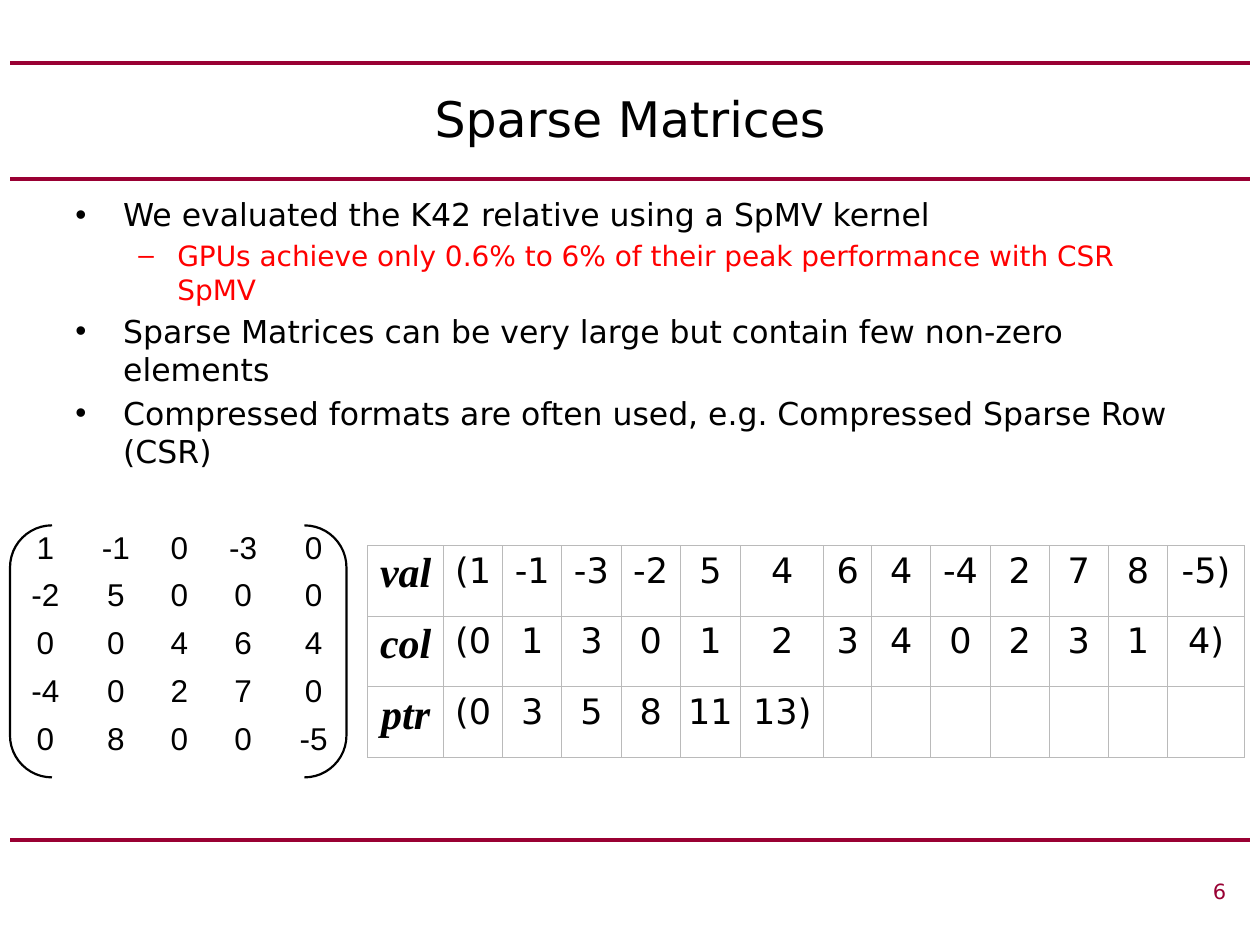
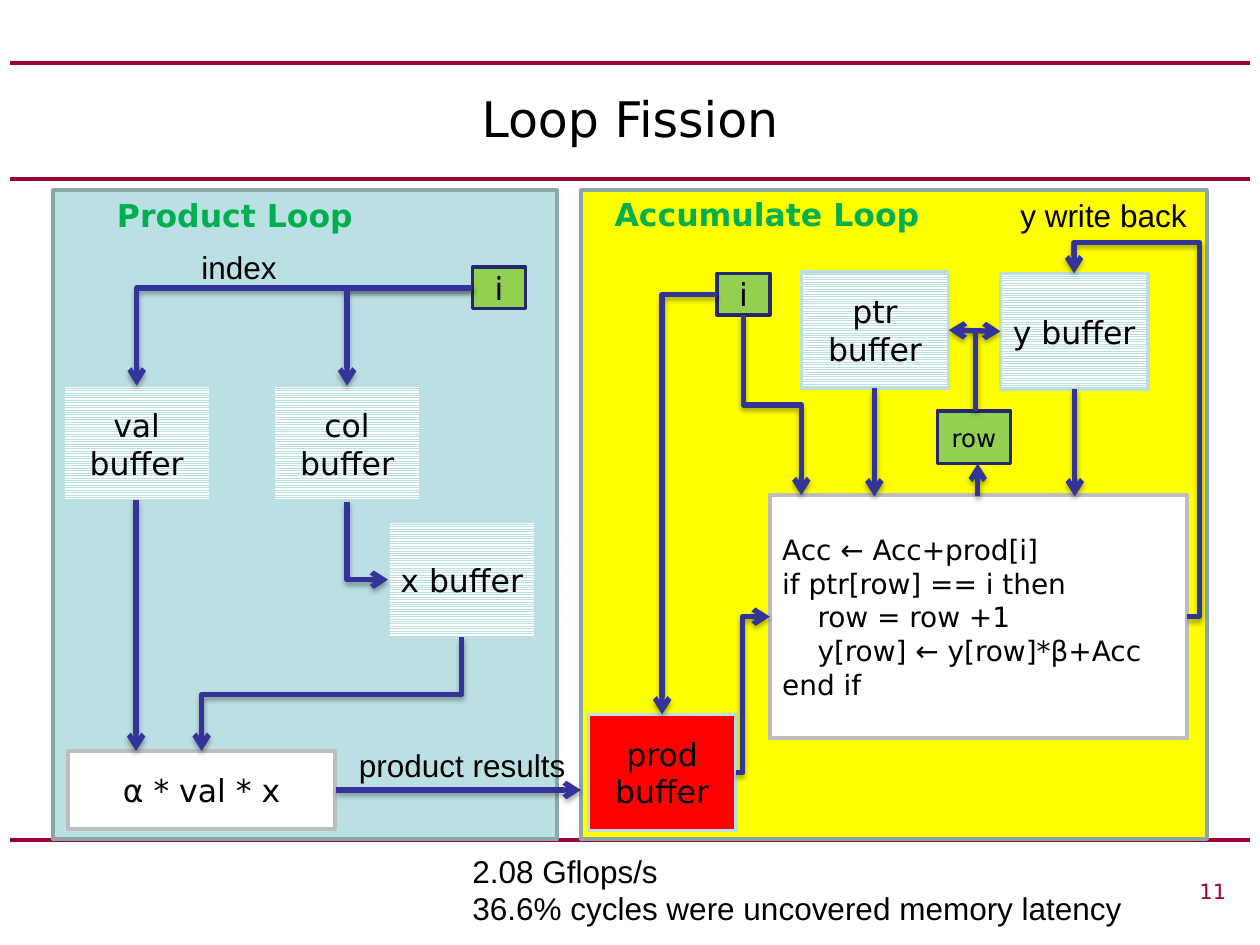
"""Build two slides on sparse matrices and loop fission."""
import lxml.etree
import pptx
import pptx.dml.color
import pptx.enum.dml
import pptx.enum.shapes
import pptx.enum.text
import pptx.oxml.ns
import pptx.util

Inches = pptx.util.Inches
Pt = pptx.util.Pt
RGBColor = pptx.dml.color.RGBColor
Kind = pptx.enum.shapes.MSO_SHAPE
Line = pptx.enum.shapes.MSO_CONNECTOR
Align = pptx.enum.text.PP_ALIGN
Anchor = pptx.enum.text.MSO_ANCHOR
qn = pptx.oxml.ns.qn

BLACK = RGBColor(0x00, 0x00, 0x00)
WHITE = RGBColor(0xFF, 0xFF, 0xFF)
WINE = RGBColor(0x99, 0x00, 0x33)
RED = RGBColor(0xFF, 0x00, 0x00)
YELLOW = RGBColor(0xFF, 0xFF, 0x00)
AQUA = RGBColor(0xBB, 0xE0, 0xE3)
SLATE = RGBColor(0x8A, 0xA6, 0xA8)
GREY = RGBColor(0xBD, 0xBD, 0xBD)
LIME = RGBColor(0x92, 0xD0, 0x50)
GREEN = RGBColor(0x00, 0xB0, 0x50)
NAVY = RGBColor(0x26, 0x26, 0x71)
BLUE = RGBColor(0x33, 0x33, 0x99)
SANS, ARIAL, SERIF = "DejaVu Sans", "Arial", "Times New Roman"
TOP, LEFT, BASE, RIGHT = range(4)


def add(node, tag, **attrs):
    child = lxml.etree.SubElement(node, qn(tag))
    for key, value in attrs.items():
        child.set(key, str(value))
    return child


class Deck:
    def __init__(self):
        self.show = pptx.Presentation()
        self.show.slide_width, self.show.slide_height = Inches(10), Inches(7.5)
        self.slide = None

    def put(self, item, **values):
        for key, value in values.items():
            setattr(item, key, value)

    def page(self, title, number):
        self.slide = self.show.slides.add_slide(self.show.slide_layouts[5])
        for y in (6.67, 1.42, 0.5):
            self.wire((0.08, y), (9.92, y), WINE, 2.25)
        head = self.slide.shapes.title
        self.put(head, left=Inches(0.5), top=Inches(0.5), width=Inches(9), height=Inches(0.87))
        head.text_frame.vertical_anchor = Anchor.MIDDLE
        self.letter(head.text_frame, [title], Align.CENTER, size=28)
        self.label(number, 2.83, 6.92, 7, 0.33, Align.RIGHT, size=12, color=WINE)

    def letter(self, frame, lines, align=Align.LEFT, size=18, name=SANS, color=BLACK, **font):
        for i, line in enumerate(lines):
            para = frame.paragraphs[0] if i == 0 else frame.add_paragraph()
            para.alignment = align
            run = para.add_run()
            run.text = line
            self.put(run.font, size=Pt(size), name=name, **font)
            run.font.color.rgb = color

    def label(self, text, x, y, w, h=0.4, align=Align.LEFT, wrap=True, **font):
        box = self.slide.shapes.add_textbox(Inches(x), Inches(y), Inches(w), Inches(h))
        box.text_frame.word_wrap = wrap
        self.letter(box.text_frame, text.split("\n"), align, **font)
        return box

    def points(self, items, x, y, w, h):
        frame = self.label("\n".join(text for text, _ in items), x, y, w, h).text_frame
        for para, (_, level) in zip(frame.paragraphs, items):
            mark, left, hang, size, color = (("•", 0.38, 0.38, 18, BLACK), ("–", 0.81, 0.31, 16, RED))[level]
            self.put(para, level=level, space_before=Pt(size / 5))
            self.put(para.runs[0].font, size=Pt(size))
            para.runs[0].font.color.rgb = color
            props = para._p.get_or_add_pPr()
            props.set("marL", str(Inches(left)))
            props.set("indent", str(-Inches(hang)))
            add(props, "a:buFont", typeface="Arial")
            add(props, "a:buChar", char=mark)

    def box(self, x, y, w, h, fill=None, line=BLACK, text="", align=Align.CENTER, size=18,
            kind=Kind.RECTANGLE, width=2):
        item = self.slide.shapes.add_shape(kind, Inches(x), Inches(y), Inches(w), Inches(h))
        item.shadow.inherit = False
        if fill is None:
            item.fill.background()
        else:
            item.fill.solid()
            item.fill.fore_color.rgb = fill
        item.line.color.rgb = line
        item.line.width = Pt(width)
        if text:
            self.put(item.text_frame, word_wrap=True, vertical_anchor=Anchor.MIDDLE)
            self.letter(item.text_frame, text.split("\n"), align, size)
        return item

    def store(self, name, x, y):
        item = self.box(x, y, 1.17, 0.92, WHITE, AQUA, name + " buffer")
        item.fill.patterned()
        item.fill.pattern = pptx.enum.dml.MSO_PATTERN.LIGHT_HORIZONTAL
        item.fill.fore_color.rgb = AQUA
        item.fill.back_color.rgb = WHITE
        return item

    def ink(self, link, color, width, ends=(), shade=False):
        link.line.color.rgb = color
        link.line.width = Pt(width)
        line = link.line._get_or_add_ln()
        for end in ends:
            add(line, "a:" + end, type="arrow")
        glow = add(link.element.spPr, "a:effectLst")
        if shade:
            cast = add(glow, "a:outerShdw", blurRad=Pt(3.1), dist=Pt(1.8), dir=5400000, rotWithShape=0)
            add(add(cast, "a:srgbClr", val="000000"), "a:alpha", val=35000)

    def wire(self, start, stop, color=BLUE, width=3, ends=(), shade=False):
        spots = [Inches(v) for v in (*start, *stop)]
        link = self.slide.shapes.add_connector(Line.STRAIGHT, *spots)
        self.ink(link, color, width, ends, shade)

    def flow(self, start, stop, ends=("tailEnd",)):
        self.wire(start, stop, ends=ends, shade=True)

    def bend(self, start, side, stop, site, turns=2, ratios=()):
        link = self.slide.shapes.add_connector(Line.ELBOW, 0, 0, 0, 0)
        link.begin_connect(start, side)
        if site is None:
            self.put(link, end_x=Inches(stop[0]), end_y=Inches(stop[1]))
        else:
            link.end_connect(stop, site)
        if side in (TOP, BASE):
            mid_x, mid_y = (link.begin_x + link.end_x) // 2, (link.begin_y + link.end_y) // 2
            run, rise = (link.end_y - link.begin_y) // 2, (link.begin_x - link.end_x) // 2
            self.put(link, begin_x=mid_x - run, begin_y=mid_y - rise,
                     end_x=mid_x + run, end_y=mid_y + rise)
            link.element.spPr.find(qn("a:xfrm")).set("rot", "5400000")
        shape = link.element.spPr.find(qn("a:prstGeom"))
        shape.set("prst", f"bentConnector{turns}")
        for i, ratio in enumerate(ratios, 1):
            add(shape.find(qn("a:avLst")), "a:gd", name=f"adj{i}", fmla=f"val {round(ratio * 100000)}")
        self.ink(link, BLUE, 3, ("tailEnd",), True)

    def grid(self, rows, x, y, cols, high, edge=None, lead=None, **font):
        frame = self.slide.shapes.add_table(len(rows), len(cols), Inches(x), Inches(y),
                                            Inches(sum(cols)), Inches(high * len(rows)))
        table = frame.table
        self.put(table, first_row=False, horz_banding=False)
        for col, wide in zip(table.columns, cols):
            col.width = Inches(wide)
        for r, row in enumerate(rows):
            table.rows[r].height = Inches(high)
            for c in range(len(cols)):
                cell = table.cell(r, c)
                self.put(cell, **dict.fromkeys(
                    ("margin_left", "margin_right", "margin_top", "margin_bottom"), Inches(0.04)))
                for side in "LRTB":
                    rim = add(cell._tc.get_or_add_tcPr(), "a:ln" + side, w=Pt(0.75))
                    if edge:
                        add(add(rim, "a:solidFill"), "a:srgbClr", val=edge)
                    else:
                        add(rim, "a:noFill")
                cell.fill.background()
                if c < len(row):
                    style = lead if lead and c == 0 else font
                    self.letter(cell.text_frame, [row[c]], Align.CENTER, **style)


def matrix(deck):
    deck.page("Sparse Matrices", "6")
    deck.points([
        ("We evaluated the K42 relative using a SpMV kernel", 0),
        ("GPUs achieve only 0.6% to 6% of their peak performance with CSR SpMV", 1),
        ("Sparse Matrices can be very large but contain few non-zero elements", 0),
        ("Compressed formats are often used, e.g. Compressed Sparse Row (CSR)", 0),
    ], 0.5, 1.5, 9, 5.08)
    full = ["1 -1 0 -3 0", "-2 5 0 0 0", "0 0 4 6 4", "-4 0 2 7 0", "0 8 0 0 -5"]
    deck.grid([row.split() for row in full], 0.08, 4.17, [0.56, 0.56, 0.45, 0.56, 0.56], 0.38, name=ARIAL)
    deck.box(0.08, 4.17, 2.67, 2, kind=Kind.DOUBLE_BRACKET, width=1.25)
    packed = ["val (1 -1 -3 -2 5 4 6 4 -4 2 7 8 -5)", "col (0 1 3 0 1 2 3 4 0 2 3 1 4)",
              "ptr (0 3 5 8 11 13)"]
    deck.grid([row.split() for row in packed], 2.92, 4.33,
              [0.6] + [0.47] * 4 + [0.48, 0.66, 0.38] + [0.47] * 5 + [0.61], 0.56, edge="BABABA",
              lead=dict(size=24, name=SERIF, bold=True, italic=True), size=20)


def fission(deck):
    deck.page("Loop Fission", "11")
    deck.box(4.61, 1.51, 4.97, 5.15, YELLOW, SLATE)
    deck.box(0.42, 1.51, 4, 5.15, AQUA, SLATE)
    val, col, x = deck.store("val", 0.5, 3.06), deck.store("col", 2.17, 3.06), deck.store("x", 3.08, 4.14)
    y = deck.store("y", 7.94, 2.17)
    deck.store("ptr", 6.36, 2.16)
    prod = deck.box(4.67, 5.67, 1.17, 0.92, RED, AQUA, "prod buffer")
    code = ["Acc ← Acc+prod[i]", "if ptr[row] == i then", "row = row +1",
            "y[row] ← y[row]*β+Acc", "end if"]
    acc = deck.box(6.11, 3.93, 3.31, 1.93, WHITE, GREY, "\n".join(code), Align.LEFT, 16)
    for para in acc.text_frame.paragraphs[2:4]:
        para._p.get_or_add_pPr().set("marL", str(Inches(0.28)))
    times = deck.box(0.54, 5.96, 2.12, 0.62, WHITE, GREY, "α * val * x")
    first = deck.box(3.75, 2.12, 0.42, 0.33, LIME, NAVY, "i")
    second = deck.box(5.69, 2.17, 0.42, 0.33, LIME, NAVY, "i")
    deck.box(7.44, 3.26, 0.58, 0.42, LIME, NAVY, "row", size=14)

    deck.bend(first, LEFT, val, TOP)
    deck.bend(first, LEFT, col, TOP)
    deck.bend(col, BASE, x, LEFT)
    deck.bend(x, BASE, times, TOP, 3)
    deck.bend(acc, RIGHT, y, TOP, 4, (-0.11, 1.09))
    deck.bend(second, LEFT, prod, TOP)
    deck.bend(prod, RIGHT, acc, LEFT, 3, (0.2,))
    deck.bend(second, BASE, (6.36, 3.93), None, 3)
    for start, stop in [((1.08, 3.97), (1.08, 5.96)), ((2.67, 6.27), (4.61, 6.27)),
                        ((6.94, 3.08), (6.94, 3.94)), ((8.53, 3.09), (8.53, 3.94)),
                        ((7.76, 3.94), (7.76, 3.68))]:
        deck.flow(start, stop)
    deck.flow((7.53, 2.62), (7.94, 2.63), ("headEnd", "tailEnd"))
    deck.flow((7.74, 3.26), (7.74, 2.62), ())

    deck.label("product results", 2.75, 5.87, 1.88, wrap=False, name=ARIAL)
    deck.label("index", 1.5, 1.92, 0.83, name=ARIAL)
    deck.label("y write back", 8, 1.51, 1.67, name=ARIAL)
    deck.label("Product Loop", 0.83, 1.51, 2.42, color=GREEN, bold=True)
    deck.label("Accumulate Loop", 4.78, 1.5, 3.17, color=GREEN, bold=True)
    deck.label("2.08 Gflops/s\n36.6% cycles were uncovered memory latency", 3.65, 6.71, 5.85, 0.71, name=ARIAL)


def main():
    deck = Deck()
    matrix(deck)
    fission(deck)
    deck.show.save("out.pptx")


if __name__ == "__main__":
    main()
